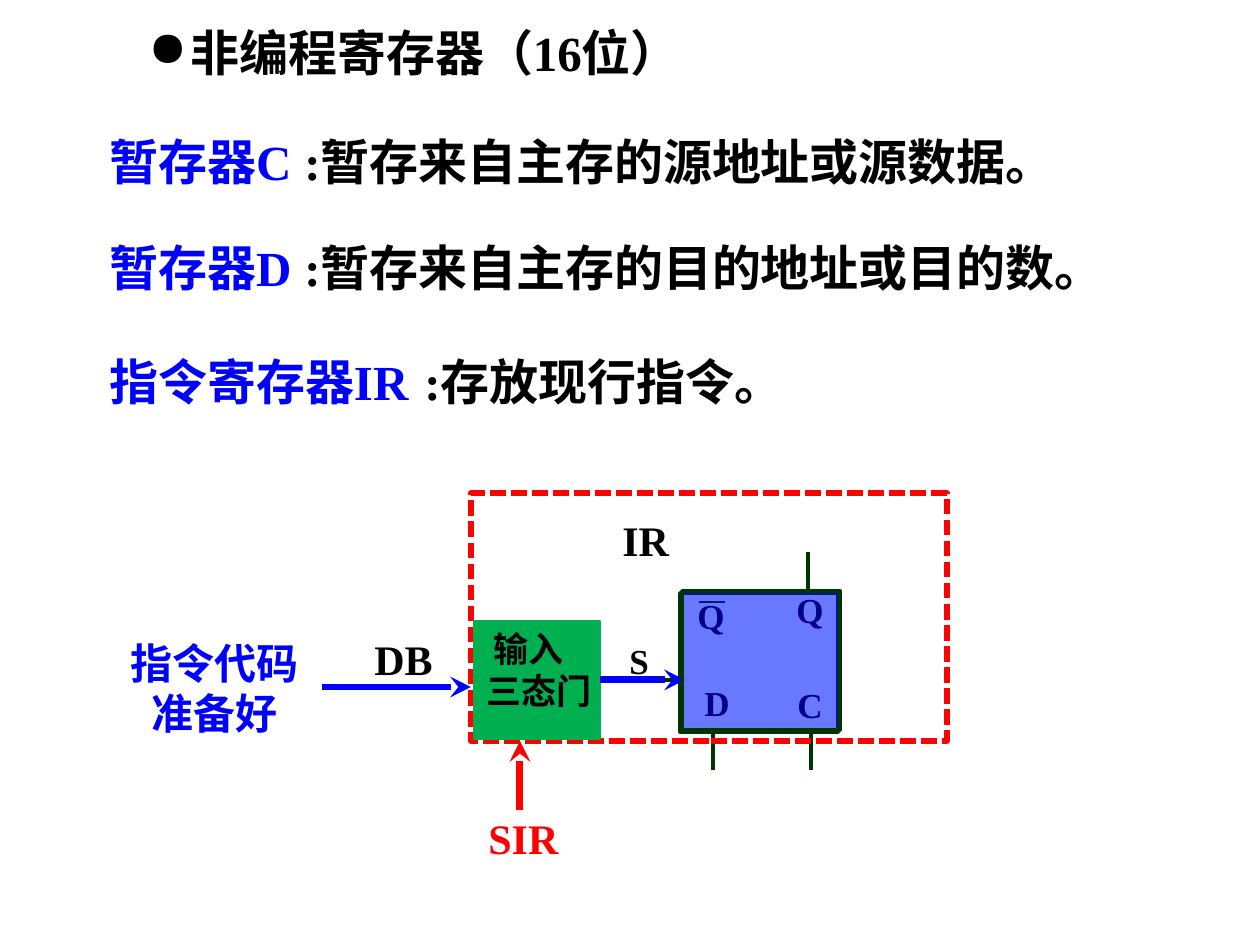
from dataclasses import dataclass

from lxml import etree
from pptx import Presentation
from pptx.dml.color import RGBColor
from pptx.enum.dml import MSO_LINE
from pptx.enum.shapes import MSO_CONNECTOR, MSO_SHAPE
from pptx.enum.text import MSO_ANCHOR, PP_ALIGN
from pptx.oxml.ns import qn
from pptx.util import Pt

RECT = MSO_SHAPE.RECTANGLE
LINE = MSO_CONNECTOR.STRAIGHT
DASH = MSO_LINE.SQUARE_DOT
TOP = MSO_ANCHOR.TOP
LEFT, MID, JUST = PP_ALIGN.LEFT, PP_ALIGN.CENTER, PP_ALIGN.JUSTIFY
RIGHT_SIDE = 3
SCALE = 914400 / 126


@dataclass(frozen=True)
class Theme:
    black: str = "000000"
    blue: str = "0000FF"
    red: str = "FF0000"
    green: str = "00B050"
    dark: str = "003400"
    pale: str = "DDFFFF"
    font: str = "Times New Roman"
    cjk: str = "Noto Sans CJK SC"
    body: int = 28
    label: int = 24
    small: int = 20


def emu(px):
    return round(px * SCALE)


def rgb(code):
    return RGBColor.from_string(code)


class Board:
    def __init__(self, slide, theme):
        self.shapes = slide.shapes
        self.theme = theme

    def style(self, frame, text, size, color, align=LEFT, font=None):
        frame.text = text
        for para in frame.paragraphs:
            para.alignment = align
            for run in para.runs:
                run.font.size = Pt(size)
                run.font.bold = True
                run.font.name = font or self.theme.font
                run.font.color.rgb = rgb(color)
                east = etree.SubElement(run.font._element, qn("a:ea"))
                east.set("typeface", self.theme.cjk)

    def text(self, text, x, y, w, h, size, color=None, align=LEFT, wrap=True):
        box = self.shapes.add_textbox(*map(emu, (x, y, w, h)))
        box.text_frame.word_wrap = wrap
        self.style(box.text_frame, text, size, color or self.theme.black, align)
        return box

    def indent(self, para, left, first=0, mark=None):
        props = para._p.get_or_add_pPr()
        props.set("marL", str(emu(left)))
        props.set("indent", str(emu(first)))
        if mark:
            etree.SubElement(props, qn("a:buChar")).set("char", mark)

    def rect(self, x, y, w, h, line, width, fill=None, alpha=None, dash=None):
        box = self.shapes.add_shape(RECT, *map(emu, (x, y, w, h)))
        box.shadow.inherit = False
        box.line.color.rgb = rgb(line)
        box.line.width = Pt(width)
        if dash:
            box.line.dash_style = dash
        if fill:
            box.fill.solid()
            box.fill.fore_color.rgb = rgb(fill)
        else:
            box.fill.background()
        if alpha:
            tint = box.fill._xPr.find(".//" + qn("a:srgbClr"))
            etree.SubElement(tint, qn("a:alpha")).set("val", str(alpha * 1000))
        return box

    def line(self, x1, y1, x2, y2, color, width, arrow=False, start=None):
        """Draw a line; start is a shape whose right side it leaves."""
        link = self.shapes.add_connector(LINE, *map(emu, (x1, y1, x2, y2)))
        if start:
            link.begin_connect(start, RIGHT_SIDE)
        link.line.color.rgb = rgb(color)
        link.line.width = Pt(width)
        if arrow:
            tail = etree.SubElement(link.line._get_or_add_ln(), qn("a:tailEnd"))
            tail.set("type", "stealth")
        etree.SubElement(link._element.spPr, qn("a:effectLst"))


def notes(board):
    look = board.theme
    title = board.text("非编程寄存器（16位）", 136, 16, 861, 72, look.body)
    board.indent(title.text_frame.paragraphs[0], 42, -42, "●")
    rows = [
        (125, "暂存器C", 368, 292, ":暂存来自主存的源地址或源数据。", 809),
        (231, "暂存器D", 368, 292, ":暂存来自主存的目的地址或目的数。", 809),
        (345, "指令寄存器IR", 693, 412, ":存放现行指令。", 404),
    ]
    for y, name, wide, x, use, span in rows:
        board.text(name, 97, y, wide, 72, look.body, look.blue)
        board.text(use, x, y, span, 72, look.body)


def inputs(board):
    look = board.theme
    board.line(322, 687, 471, 687, look.blue, 4, arrow=True)
    board.text("DB", 362, 627, 84, 63, look.label, wrap=False)
    board.line(520, 810, 520, 741, look.red, 4, arrow=True)
    board.text("SIR", 476, 806, 96, 63, look.label, look.red, wrap=False)
    board.text("指令代码\n准备好", 117, 631, 195, 115, look.label, look.blue, MID, False)


def circuit(board):
    look = board.theme
    board.rect(680, 593, 158, 139, look.dark, 2, look.pale)
    pins = [("S", 617, 633), ("D", 692, 675), ("C", 785, 677),
            ("Q", 784, 582), ("Q", 685, 588)]
    for name, x, y in pins:
        board.text(name, x, y, 69, 48, look.small)
    board.line(699, 602, 725, 602, look.dark, 1.5)
    for x, y1, y2 in [(808, 552, 593), (713, 733, 770), (811, 733, 770)]:
        board.line(x, y1, x, y2, look.dark, 2)

    board.rect(471, 493, 476, 248, look.red, 3, dash=DASH)
    board.text("IR", 610, 508, 73, 63, look.label, wrap=False)
    gate = board.rect(474, 621, 126, 118, look.green, 1, look.green)
    frame = gate.text_frame
    frame.word_wrap = False
    frame.vertical_anchor = TOP
    board.style(frame, "输入\n三态门", look.small, look.black, JUST, look.cjk)
    board.indent(frame.paragraphs[0], 7)

    board.line(600, 680, 677, 680, look.dark, 2, start=gate)
    board.line(600, 680, 685, 680, look.blue, 4, arrow=True, start=gate)
    board.rect(682, 591, 158, 139, look.dark, 2, look.blue, alpha=53)


def main():
    deck = Presentation()
    deck.slide_width, deck.slide_height = emu(1260), emu(945)
    board = Board(deck.slides.add_slide(deck.slide_layouts[6]), Theme())
    notes(board)
    inputs(board)
    circuit(board)
    deck.save("out.pptx")


if __name__ == "__main__":
    main()
